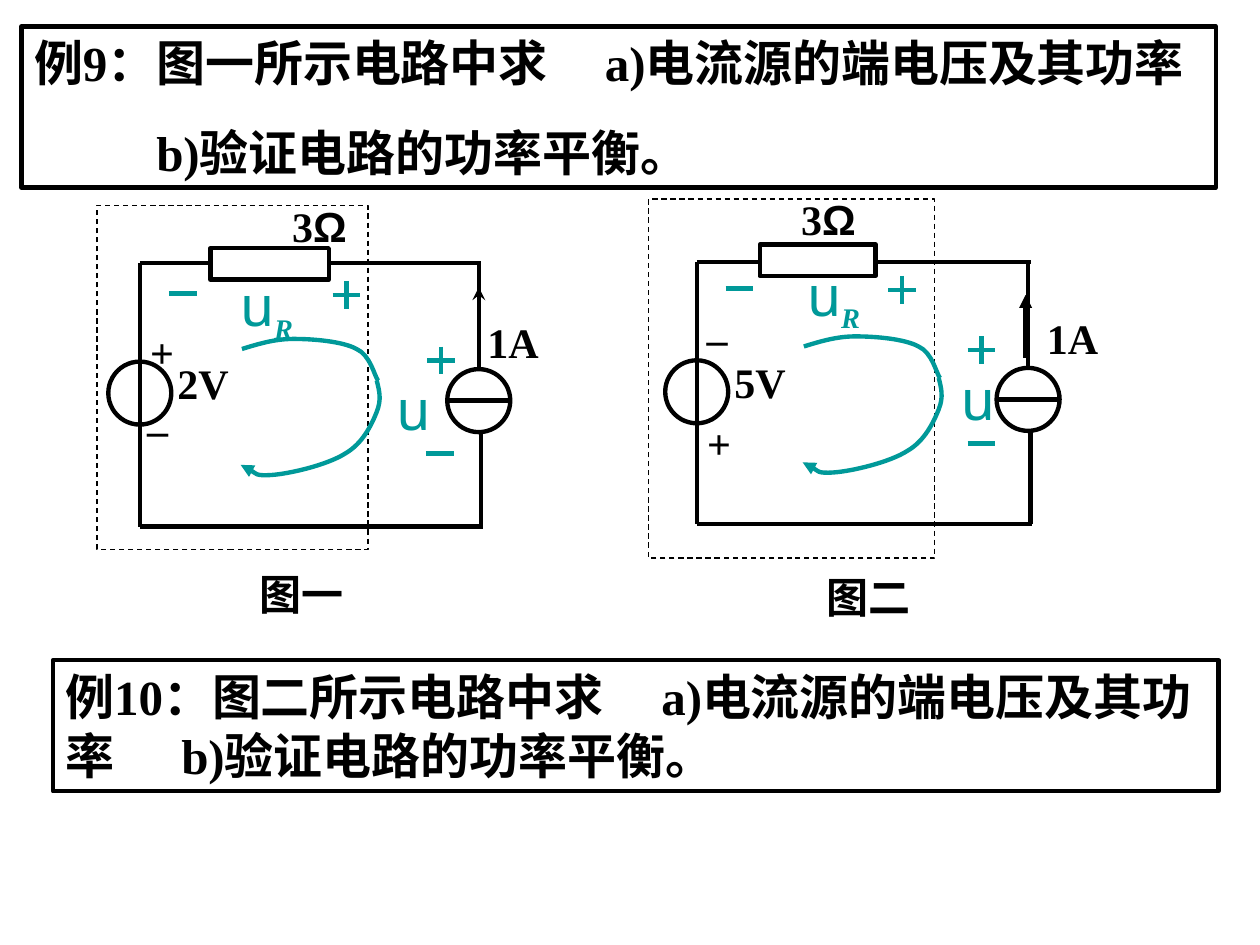
from dataclasses import dataclass

from lxml.etree import SubElement
from pptx import Presentation
from pptx.dml.color import RGBColor
from pptx.enum.dml import MSO_LINE
from pptx.enum.shapes import MSO_CONNECTOR, MSO_SHAPE
from pptx.enum.text import MSO_ANCHOR, MSO_AUTO_SIZE, PP_ALIGN
from pptx.oxml.ns import qn
from pptx.util import Inches, Pt


@dataclass(frozen=True)
class Theme:
    """Colours, fonts, type sizes and line widths of the slide."""
    ink: RGBColor = RGBColor(0, 0, 0)
    accent: RGBColor = RGBColor(0x00, 0x99, 0x99)
    paper: RGBColor = RGBColor(255, 255, 255)
    serif: str = "Times New Roman"
    sans: str = "Arial"
    mono: str = "Noto Sans Mono"
    statement: float = 28
    label: float = 24
    symbol: float = 32
    wire: float = 2.5
    dash: float = 0.75


@dataclass(frozen=True)
class Circuit:
    """Wording of one circuit and the places of its parts inside its box."""
    voltage: str
    caption: str
    frame: tuple
    resistor: tuple
    resistance_at: tuple
    current_at: tuple
    source_plus_at: tuple
    source_minus_at: tuple
    caption_at: tuple
    resistor_voltage_at: tuple
    terminal_voltage_at: tuple
    minus_signs: tuple
    plus_signs: tuple
    arrow: tuple
    arrow_head: str
    loop_at: tuple


THEME = Theme()

CIRCUITS = (
    ((1.11, 2.09, 2.71, 2.09), Circuit(
        voltage="2V", caption="图一",
        frame=(-0.34, -0.46, 2.15, 2.73), resistor=(0.56, -0.12, 0.94, 0.25),
        resistance_at=(1.11, -0.55), current_at=(2.66, 0.37),
        source_plus_at=(-0.15, 0.53), source_minus_at=(-0.04, 1.06),
        caption_at=(0.85, 2.37),
        resistor_voltage_at=(0.7, 0.01), terminal_voltage_at=(1.94, 0.83),
        minus_signs=((0.34, 0.24), (2.38, 1.51)),
        plus_signs=((1.64, 0.25), (2.39, 0.77)),
        arrow=(2.69, 0.69), arrow_head="stealth", loop_at=(0.81, 0.68))),
    ((5.53, 2.08, 2.65, 2.08), Circuit(
        voltage="5V", caption="图二",
        frame=(-0.38, -0.5, 2.27, 2.85), resistor=(0.5, -0.14, 0.92, 0.25),
        resistance_at=(0.73, -0.59), current_at=(2.68, 0.35),
        source_plus_at=(-0.15, 1.26), source_minus_at=(-0.02, 0.35),
        caption_at=(0.93, 2.41),
        resistor_voltage_at=(0.78, -0.06), terminal_voltage_at=(2, 0.76),
        minus_signs=((0.34, 0.21), (2.26, 1.44)),
        plus_signs=((1.63, 0.22), (2.26, 0.7)),
        arrow=(2.61, 0.76), arrow_head="triangle", loop_at=(0.85, 0.67))),
)

LOOP_TOP = ((0, 0), (0.13, -0.04), (0.26, -0.08), (0.41, -0.08), (0.57, -0.08),
            (0.8, -0.06), (0.91, 0), (1.02, 0.05), (1.05, 0.21), (1.08, 0.25))
LOOP_BOTTOM = ((1.07, 0.25), (1.09, 0.33), (1.11, 0.4), (1.07, 0.5),
               (1.03, 0.6), (0.96, 0.75), (0.82, 0.83), (0.68, 0.92),
               (0.38, 0.99), (0.24, 1), (0.1, 1.01), (0.03, 0.93), (-0.01, 0.92))


def style_line(shape, color=THEME.ink, width=THEME.wire, head=None):
    """Set colour, width and optional end arrow of an outline or line."""
    shape.line.color.rgb = color
    shape.line.width = Pt(width)
    if head:
        SubElement(shape.line._get_or_add_ln(), qn("a:tailEnd"), type=head)


def add_line(slide, start, end, **line_format):
    """Draw a straight line between two points."""
    connector = slide.shapes.add_connector(
        MSO_CONNECTOR.STRAIGHT, *map(Inches, start + end))
    style_line(connector, **line_format)
    SubElement(connector.element.spPr, qn("a:effectLst"))


def add_outline(slide, kind, box, fill=None, dashed=False):
    """Draw an outlined preset shape."""
    shape = slide.shapes.add_shape(kind, *map(Inches, box))
    shape.shadow.inherit = False
    if fill:
        shape.fill.solid()
        shape.fill.fore_color.rgb = fill
    else:
        shape.fill.background()
    style_line(shape, width=THEME.dash if dashed else THEME.wire)
    if dashed:
        shape.line.dash_style = MSO_LINE.DASH


def add_run(paragraph, text, size=THEME.label, font=THEME.serif,
            color=THEME.ink, bold=True, italic=False, baseline=None):
    """Append formatted text to a paragraph."""
    run = paragraph.add_run()
    run.text = text
    run.font.size, run.font.name = Pt(size), font
    run.font.bold, run.font.italic = bold, italic
    run.font.color.rgb = color
    if baseline:
        run.font._element.set("baseline", str(baseline))


def add_label(slide, at, text, size=(1.02, 0.5), wrap=True, vertical=False, **run_format):
    """Place a text label and return its paragraph."""
    shape = slide.shapes.add_textbox(*map(Inches, at + size))
    frame = shape.text_frame
    frame.word_wrap = wrap
    if vertical:
        shape.element.txBody.bodyPr.set("vert", "eaVert")
        frame.margin_left = frame.margin_right = Inches(0.05)
        frame.margin_top = frame.margin_bottom = Inches(0.1)
    add_run(frame.paragraphs[0], text, **run_format)
    return frame.paragraphs[0]


def add_curve(slide, points, head=None):
    """Draw a chain of cubic curves through a start and control points."""
    start, *controls = [tuple(map(Inches, point)) for point in points]
    builder = slide.shapes.build_freeform(*start)
    builder.add_line_segments(controls, close=False)
    shape = builder.convert_to_shape()
    shape.shadow.inherit = False
    shape.fill.background()
    style_line(shape, color=THEME.accent, head=head)
    outline = next(shape.element.iter(qn("a:path")))
    segments = outline.findall(qn("a:lnTo"))
    for first in range(0, len(segments), 3):
        curve = SubElement(outline, qn("a:cubicBezTo"))
        for segment in segments[first:first + 3]:
            curve.append(segment[0])
            outline.remove(segment)


def add_statement(shape, box, paragraphs, tabs, indent=0):
    """Fill a bordered box with a problem, indenting its later paragraphs."""
    shape.left, shape.top, shape.width, shape.height = map(Inches, box)
    style_line(shape)
    frame = shape.text_frame
    frame.word_wrap = True
    frame.auto_size = MSO_AUTO_SIZE.NONE
    frame.vertical_anchor = MSO_ANCHOR.TOP
    for index, text in enumerate(paragraphs):
        paragraph = frame.add_paragraph() if index else frame.paragraphs[0]
        properties = paragraph._p.get_or_add_pPr()
        if index:
            properties.set("marL", str(Inches(indent)))
            paragraph.space_before = Pt(17.5)
        tab_list = SubElement(properties, qn("a:tabLst"))
        for tab in tabs:
            SubElement(tab_list, qn("a:tab"), pos=str(Inches(tab)), algn="l")
        paragraph.alignment = PP_ALIGN.LEFT
        add_run(paragraph, text, size=THEME.statement)


def add_circuit(slide, box, circuit):
    """Draw a circuit whose wire loop fills the given box."""
    left, top, width, height = box

    def place(point):
        """Turn a point inside the box into a slide position."""
        return left + point[0], top + point[1]

    def wire(start, end, **line_format):
        """Draw a line between two points inside the box."""
        add_line(slide, place(start), place(end), **line_format)

    branch, radius = width - 0.02, 0.25
    voltage_y, current_y = 1.03, 1.09
    add_outline(slide, MSO_SHAPE.RECTANGLE,
                place(circuit.frame) + circuit.frame[2:], dashed=True)
    for center in ((0, voltage_y), (branch, current_y)):
        corner = tuple(value - radius for value in place(center))
        add_outline(slide, MSO_SHAPE.OVAL, corner + (2 * radius, 2 * radius))
    wire((0, 0), (0, height))
    wire((0, 0), (width, 0))
    wire((0, height), (width + 0.01, height))
    wire((branch, 0), (branch, current_y - radius))
    wire((width, current_y + radius), (width, height))
    wire((branch - radius, current_y), (branch + radius, current_y))
    arrow_x, arrow_y = circuit.arrow
    wire((arrow_x, arrow_y), (arrow_x, arrow_y - 0.5), head=circuit.arrow_head)
    add_outline(slide, MSO_SHAPE.RECTANGLE,
                place(circuit.resistor) + circuit.resistor[2:], fill=THEME.paper)

    resistance = add_label(slide, place(circuit.resistance_at), "3")
    add_run(resistance, "Ω", font=THEME.sans)
    add_label(slide, place((0.2, 0.7)), circuit.voltage)
    add_label(slide, place(circuit.current_at), "1A")
    add_label(slide, place(circuit.source_plus_at), "+", size=(0.6, 1.08), vertical=True)
    add_label(slide, place(circuit.source_minus_at), "–")
    add_label(slide, place(circuit.caption_at), circuit.caption)

    symbol = dict(font=THEME.mono, color=THEME.accent, bold=False)
    for at, subscript in ((circuit.resistor_voltage_at, "R"),
                          (circuit.terminal_voltage_at, "")):
        paragraph = add_label(slide, place(at), "", size=(0.62, 0.69), wrap=False)
        paragraph.clear()
        add_run(paragraph, "u", size=THEME.symbol, **symbol)
        if subscript:
            add_run(paragraph, subscript, size=THEME.statement,
                    color=THEME.accent, italic=True, baseline=-25000)
    arm = 0.11
    for x, y in circuit.minus_signs + circuit.plus_signs:
        wire((x - arm, y), (x + arm, y), color=THEME.accent)
    for x, y in circuit.plus_signs:
        wire((x, y - arm), (x, y + arm), color=THEME.accent)
    for points, head in ((LOOP_TOP, None), (LOOP_BOTTOM, "triangle")):
        origin_x, origin_y = place(circuit.loop_at)
        add_curve(slide, [(origin_x + x, origin_y + y) for x, y in points], head)


def main():
    """Build the slide and save it."""
    presentation = Presentation()
    presentation.slide_width, presentation.slide_height = Inches(10), Inches(7.5)
    slide = presentation.slides.add_slide(presentation.slide_layouts[5])
    add_statement(slide.shapes.title, (0.17, 0.21, 9.48, 1.28),
                  ("例9：图一所示电路中求\ta)电流源的端电压及其功率", "b)验证电路的功率平衡。"),
                  tabs=(4.53,), indent=0.97)
    for box, circuit in CIRCUITS:
        add_circuit(slide, box, circuit)
    add_statement(slide.shapes.add_textbox(0, 0, 0, 0), (0.42, 5.24, 9.25, 1.04),
                  ("例10：图二所示电路中求\ta)电流源的端电压及其功率\tb)验证电路的功率平衡。",),
                  tabs=(0.92, 4.73))
    presentation.save("out.pptx")


if __name__ == "__main__":
    main()
